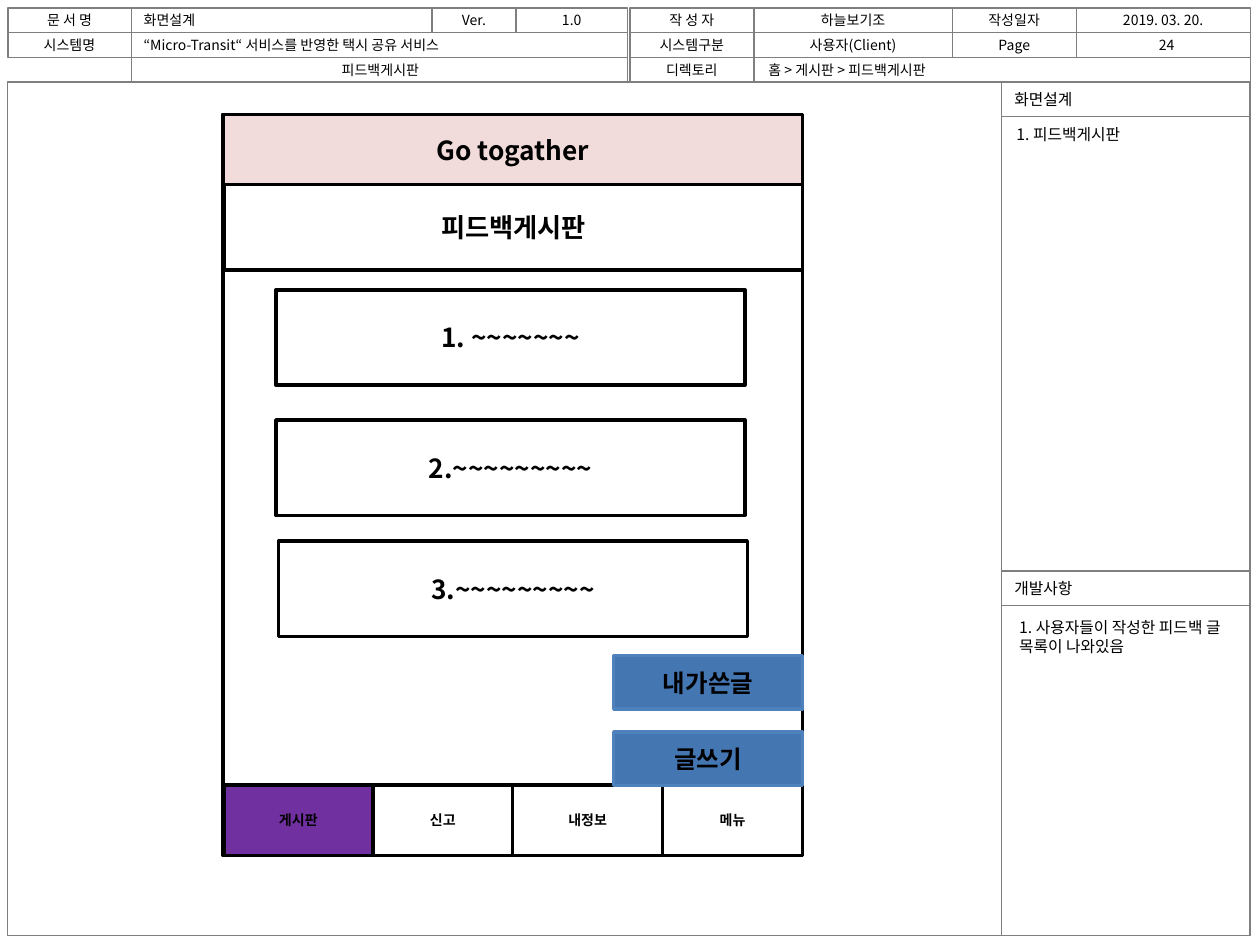
from dataclasses import dataclass
from typing import Optional

import pptx
import pptx.dml.color
import pptx.enum.shapes
import pptx.enum.text
import pptx.oxml.xmlchemy
import pptx.util
from pptx.util import Pt

FONT = "Noto Sans CJK KR"
COLORS = {
    "grid": "7F7F7F",
    "black": "000000",
    "white": "FFFFFF",
    "banner": "F2DCDB",
    "active_tab": "7030A0",
    "button": "4476B2",
    "button_edge": "4F81BD",
}
LEFT = pptx.enum.text.PP_ALIGN.LEFT
CENTER = pptx.enum.text.PP_ALIGN.CENTER
TOP = pptx.enum.text.MSO_ANCHOR.TOP
MIDDLE = pptx.enum.text.MSO_ANCHOR.MIDDLE
FRAME_FORMAT = {
    "margin_left": Pt(7.2),
    "margin_right": Pt(7.2),
    "margin_top": Pt(3.6),
    "margin_bottom": Pt(3.6),
    "word_wrap": True,
}


@dataclass
class Box:
    """A rectangle in points, with optional text."""
    left: float
    top: float
    width: float
    height: float
    text: str = ""
    size: float = 8
    bold: bool = False
    align: int = CENTER
    fill: Optional[str] = None
    line: str = "grid"
    line_width: float = 0.75


@dataclass
class Label:
    left: float
    top: float
    width: float
    height: float
    text: str
    size: float = 8
    align: int = CENTER
    anchor: int = TOP


def rgb(color: str) -> pptx.dml.color.RGBColor:
    return pptx.dml.color.RGBColor.from_string(COLORS[color])


def write_text(frame, text: str, size: float, bold: bool, align: int, anchor: int) -> None:
    for name, value in {**FRAME_FORMAT, "vertical_anchor": anchor}.items():
        setattr(frame, name, value)
    paragraph = frame.paragraphs[0]
    paragraph.alignment = align
    run = paragraph.add_run()
    run.text = text
    for name, value in {"name": FONT, "size": Pt(size), "bold": bold}.items():
        setattr(run.font, name, value)
    run.font.color.rgb = rgb("black")
    east_asian = pptx.oxml.xmlchemy.OxmlElement("a:ea")
    east_asian.set("typeface", FONT)
    run.font._element.append(east_asian)


def draw_box(slide, box: Box) -> None:
    shape = slide.shapes.add_shape(
        pptx.enum.shapes.MSO_SHAPE.RECTANGLE,
        Pt(box.left), Pt(box.top), Pt(box.width), Pt(box.height))
    shape.shadow.inherit = False
    if box.fill:
        shape.fill.solid()
        shape.fill.fore_color.rgb = rgb(box.fill)
    else:
        shape.fill.background()
    shape.line.color.rgb = rgb(box.line)
    shape.line.width = Pt(box.line_width)
    if box.text:
        write_text(shape.text_frame, box.text, box.size, box.bold, box.align, MIDDLE)


def draw_label(slide, label: Label) -> None:
    textbox = slide.shapes.add_textbox(
        Pt(label.left), Pt(label.top), Pt(label.width), Pt(label.height))
    write_text(textbox.text_frame, label.text, label.size, False, label.align, label.anchor)


def screen_box(left: float, top: float, width: float, height: float,
               text: str = "", size: float = 15, fill: Optional[str] = "white",
               line: str = "black") -> Box:
    """A thick-edged part of the phone screen."""
    return Box(left, top, width, height, text, size, True, CENTER, fill, line, 2)


SHEET_LEFT, SHEET_RIGHT, SHEET_BOTTOM = 4.5, 714.4, 534.5
HEADER_TOP, ROW_HEIGHT = 4.5, 14.1
SHEET_TOP = HEADER_TOP + 3 * ROW_HEIGHT
# Each header cell: left, right, text, alignment
HEADER_ROWS = [
    [(4.5, 75, "문 서 명", CENTER), (75, 246.8, "화면설계", LEFT),
     (246.8, 294.8, "Ver.", CENTER), (294.8, 358.7, "1.0", CENTER),
     (360, 430.8, "작 성 자", CENTER), (430.8, 544.2, "하늘보기조", CENTER),
     (544.2, 615, "작성일자", CENTER), (615, 714.4, "", CENTER)],
    [(4.5, 75, "시스템명", CENTER),
     (75, 358.7, "“Micro-Transit“ 서비스를 반영한 택시 공유 서비스", LEFT),
     (360, 430.8, "시스템구분", CENTER), (430.8, 544.2, "", CENTER),
     (544.2, 615, "Page", CENTER), (615, 714.4, "", CENTER)],
    [(75, 358.7, "", CENTER), (360, 430.8, "디렉토리", CENTER),
     (430.8, 714.4, "", CENTER)],
]
HEADER_LABELS = [
    Label(615, 3, 99.4, 17, "2019. 03. 20."),
    Label(617, 21.6, 99.4, 8.6, "24", anchor=MIDDLE),
    Label(430.8, 17.1, 113.4, 17, "사용자(Client)"),
    Label(75.6, 31.5, 283.7, 17, "피드백게시판"),
    Label(432, 31.5, 283, 17, "홈 > 게시판 > 피드백게시판", align=LEFT),
]

SIDE_LEFT = 572.5
SIDE_WIDTH = SHEET_RIGHT - SIDE_LEFT
# Each side panel: title, top, bottom
SIDE_PANELS = [("화면설계", SHEET_TOP, 326.4), ("개발사항", 326.4, SHEET_BOTTOM)]
SIDE_TITLE_HEIGHT = 19.8
SIDE_NOTES = [
    Label(573.8, 67.7, 146.2, 41, "1. 피드백게시판", 9, LEFT),
    Label(575.3, 349.2, 141.1, 29, "1. 사용자들이 작성한 피드백 글 목록이 나와있음", 9, LEFT),
]

SCREEN_LEFT, SCREEN_TOP, SCREEN_WIDTH, SCREEN_HEIGHT = 127.5, 65.5, 331.2, 423.4
SCREEN_RIGHT = SCREEN_LEFT + SCREEN_WIDTH
TAB_TOP, TAB_HEIGHT = 448.6, 40.3
# Each tab: left, right, text, fill
TABS = [(128.2, 212.8, "게시판", "active_tab"), (213.1, 293, "신고", None),
        (293, 378.7, "내정보", "white"), (378.7, SCREEN_RIGHT, "메뉴", None)]
BUTTON_WIDTH, BUTTON_HEIGHT = 108, 30.5
BUTTONS = [(418.3, "글쓰기"), (374.6, "내가쓴글")]
POSTS = [(157.7, 165.6, "1. ~~~~~~~"), (157.7, 240, "2.~~~~~~~~~"),
         (159.1, 309.2, "3.~~~~~~~~~")]


def draw_form(slide) -> None:
    draw_box(slide, Box(SHEET_LEFT, SHEET_TOP, SHEET_RIGHT - SHEET_LEFT,
                        SHEET_BOTTOM - SHEET_TOP))
    for row, cells in enumerate(HEADER_ROWS):
        for left, right, text, align in cells:
            draw_box(slide, Box(left, HEADER_TOP + row * ROW_HEIGHT, right - left,
                                ROW_HEIGHT, text, align=align))
    for title, top, bottom in SIDE_PANELS:
        body_top = top + SIDE_TITLE_HEIGHT
        draw_box(slide, Box(SIDE_LEFT, body_top, SIDE_WIDTH, bottom - body_top))
        draw_box(slide, Box(SIDE_LEFT, top, SIDE_WIDTH, SIDE_TITLE_HEIGHT,
                            title, 9, align=LEFT))


def draw_screen(slide) -> None:
    parts = [
        screen_box(SCREEN_LEFT, SCREEN_TOP, SCREEN_WIDTH, SCREEN_HEIGHT),
        screen_box(SCREEN_LEFT, SCREEN_TOP, SCREEN_WIDTH, 41, "Go togather", fill="banner"),
    ]
    parts += [screen_box(left, TAB_TOP, right - left, TAB_HEIGHT, text, 8, fill)
              for left, right, text, fill in TABS]
    parts += [screen_box(SCREEN_RIGHT - BUTTON_WIDTH, top, BUTTON_WIDTH, BUTTON_HEIGHT,
                         text, 14, "button", "button_edge")
              for top, text in BUTTONS]
    parts += [screen_box(left, top, 268, 54.5, text) for left, top, text in POSTS]
    parts.append(screen_box(128.2, 105.4, 330.5, 49, "피드백게시판"))
    for part in parts:
        draw_box(slide, part)


def main() -> None:
    deck = pptx.Presentation()
    deck.slide_width, deck.slide_height = Pt(720), Pt(540)
    slide = deck.slides.add_slide(deck.slide_layouts[6])
    draw_form(slide)
    draw_screen(slide)
    for label in HEADER_LABELS + SIDE_NOTES:
        draw_label(slide, label)
    deck.save("out.pptx")


if __name__ == "__main__":
    main()
